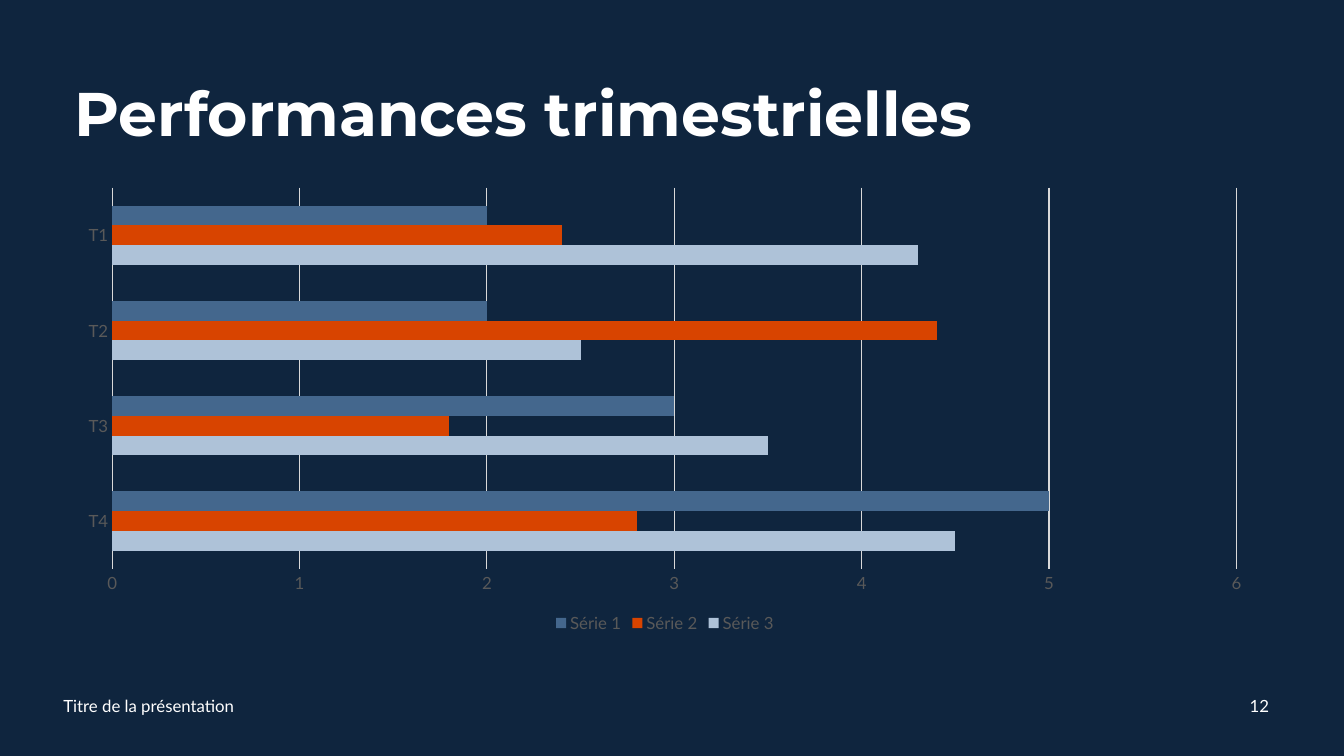
"""Build the quarterly performance slide with its clustered bar chart."""
from dataclasses import dataclass

from pptx import Presentation
from pptx.chart.data import CategoryChartData
from pptx.dml.color import RGBColor
from pptx.enum.chart import XL_CHART_TYPE as ChartType
from pptx.enum.chart import XL_LEGEND_POSITION as LegendPosition
from pptx.enum.chart import XL_TICK_MARK as TickMark
from pptx.enum.text import MSO_ANCHOR as Anchor
from pptx.enum.text import PP_ALIGN as Align
from pptx.util import Inches, Pt

NAVY = RGBColor(0x0F, 0x25, 0x3E)
WHITE = RGBColor(0xFF, 0xFF, 0xFF)
BLACK = RGBColor(0x00, 0x00, 0x00)
LABEL_GRAY = RGBColor(0x59, 0x59, 0x59)
LINE_GRAY = RGBColor(0xD9, 0xD9, 0xD9)
PALE_BLUE = RGBColor(0xAE, 0xC2, 0xD8)
ORANGE = RGBColor(0xD8, 0x44, 0x00)
STEEL_BLUE = RGBColor(0x44, 0x67, 0x8D)

TITLE_FONT = "Montserrat"
BODY_FONT = "Lato"


@dataclass(frozen=True)
class Box:
    left: float
    top: float
    width: float
    height: float

    def lengths(self) -> tuple:
        return tuple(Inches(n) for n in (self.left, self.top, self.width, self.height))


@dataclass(frozen=True)
class Series:
    name: str
    values: tuple[float, ...]
    color: RGBColor


QUARTERS = ("T4", "T3", "T2", "T1")
SERIES = (
    Series("Série 3", (4.5, 3.5, 2.5, 4.3), PALE_BLUE),
    Series("Série 2", (2.8, 1.8, 4.4, 2.4), ORANGE),
    Series("Série 1", (5, 3, 2, 2), STEEL_BLUE),
)


def set_font(font, size: float, color: RGBColor, name: str = BODY_FONT, bold: bool = False) -> None:
    font.size = Pt(size)
    font.name = name
    font.bold = bold
    font.color.rgb = color


def add_text(slide, text: str, box: Box, *, size: float = 12, font: str = BODY_FONT,
             bold: bool = False, align: Align = Align.LEFT, line_spacing: float = 1.0) -> None:
    frame = slide.shapes.add_textbox(*box.lengths()).text_frame
    frame.word_wrap = True
    frame.vertical_anchor = Anchor.MIDDLE
    paragraph = frame.paragraphs[0]
    paragraph.alignment = align
    paragraph.line_spacing = line_spacing
    run = paragraph.add_run()
    run.text = text
    set_font(run.font, size, WHITE, font, bold)


def set_line(line) -> None:
    line.color.rgb = LINE_GRAY
    line.width = Pt(0.75)


def add_performance_chart(slide, box: Box) -> None:
    data = CategoryChartData()
    data.categories = QUARTERS
    for series in SERIES:
        data.add_series(series.name, series.values)
    chart = slide.shapes.add_chart(ChartType.BAR_CLUSTERED, *box.lengths(), data).chart
    set_font(chart.font, 10, BLACK)
    chart.has_title = False

    plot = chart.plots[0]
    plot.gap_width = 182
    plot.vary_by_categories = False
    for bars, series in zip(plot.series, SERIES):
        bars.format.fill.solid()
        bars.format.fill.fore_color.rgb = series.color

    for axis in (chart.category_axis, chart.value_axis):
        axis.major_tick_mark = axis.minor_tick_mark = TickMark.NONE
        set_font(axis.tick_labels.font, 12, LABEL_GRAY)
    set_line(chart.category_axis.format.line)
    chart.value_axis.format.line.fill.background()
    chart.value_axis.has_major_gridlines = True
    set_line(chart.value_axis.major_gridlines.format.line)

    chart.has_legend = True
    chart.legend.position = LegendPosition.BOTTOM
    chart.legend.include_in_layout = False
    set_font(chart.legend.font, 12, LABEL_GRAY)


def main() -> None:
    presentation = Presentation()
    presentation.slide_width = Inches(13.33)
    presentation.slide_height = Inches(7.5)
    slide = presentation.slides.add_slide(presentation.slide_layouts[6])
    slide.background.fill.solid()
    slide.background.fill.fore_color.rgb = NAVY

    add_text(slide, "Performances trimestrielles", Box(0.64, 0.55, 11.5, 1.22),
             size=44, font=TITLE_FONT, bold=True, line_spacing=0.9)
    add_performance_chart(slide, Box(0.64, 1.77, 11.91, 4.55))
    add_text(slide, "Titre de la présentation", Box(0.53, 6.8, 4.5, 0.4))
    add_text(slide, "12", Box(12.24, 6.8, 0.5, 0.4), align=Align.CENTER)
    presentation.save("out.pptx")


if __name__ == "__main__":
    main()
